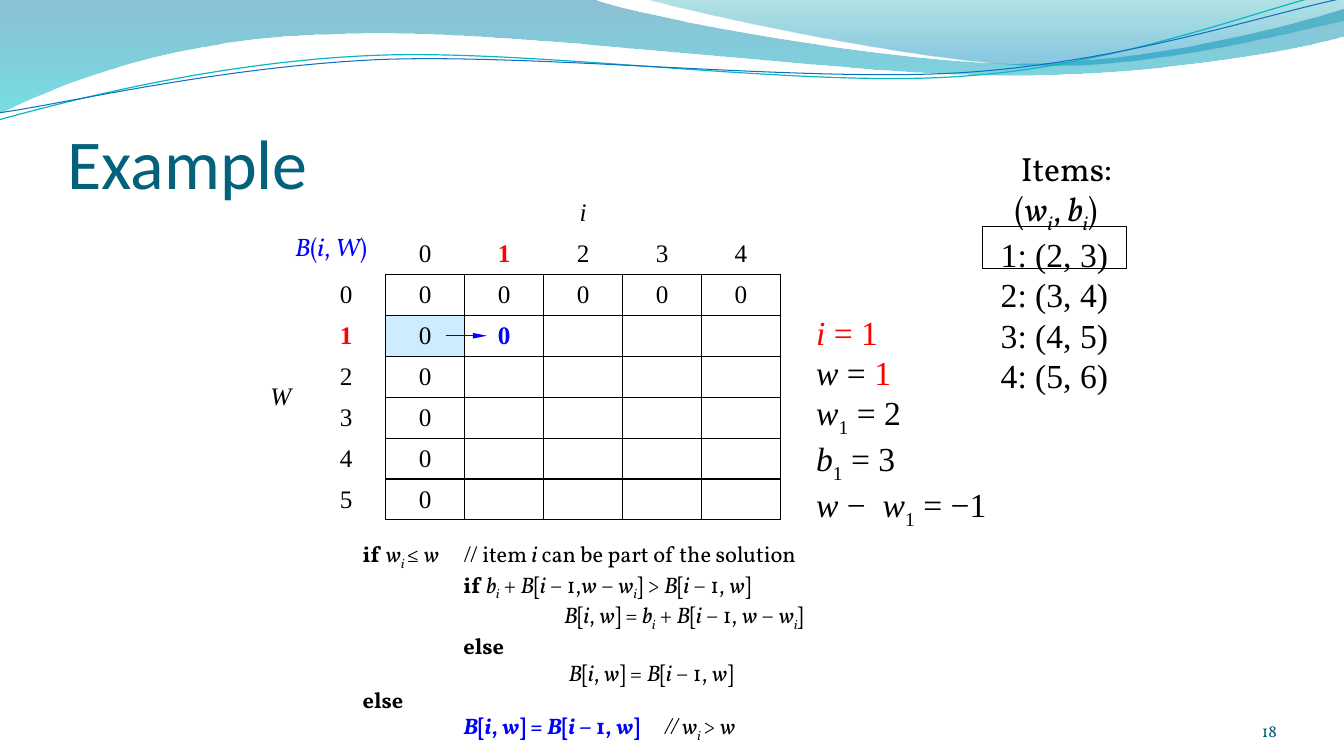
from itertools import groupby

from lxml import etree
from pptx import Presentation
from pptx import util as u
from pptx.dml.color import RGBColor
from pptx.enum import shapes, text
from pptx.oxml import ns

BLACK = RGBColor(0x00, 0x00, 0x00)
RED = RGBColor(0xFF, 0x00, 0x00)
BLUE = RGBColor(0x00, 0x00, 0xFF)
PALE_BLUE = RGBColor(0xCC, 0xEC, 0xFF)
TITLE_TEAL = RGBColor(0x04, 0x61, 0x7B)
NUMBER_TEAL = RGBColor(0x04, 0x5D, 0x75)
LINE_TEAL = RGBColor(0x0A, 0xB8, 0xBF)
LINE_BLUE = RGBColor(0x0F, 0x6F, 0xC6)
WAVE_TOP = RGBColor(0x00, 0x74, 0xA1)
WAVE_BOTTOM = RGBColor(0x00, 0xC6, 0xCF)
CREST_TOP = RGBColor(0x00, 0xA1, 0xA9)
CREST_BOTTOM = RGBColor(0x00, 0x8B, 0xBF)
SERIF = "Times New Roman"
BODY = "Vollkorn"
PLAIN_TABLE_STYLE = "{2D5ABB26-0587-4C30-8999-92F81FD0307C}"


def child(parent, tag, **attributes):
    return etree.SubElement(parent, ns.qn(tag), attributes)


def math_runs(formula, style=""):
    styled = []
    lowered = False
    for letter in formula:
        if letter == "_":
            lowered = True
            continue
        styled.append((letter, style + "i" * letter.isalpha() + "s" * lowered))
        lowered = False
    return [("".join(letter for letter, _ in group), key)
            for key, group in groupby(styled, key=lambda pair: pair[1])]


def add_runs(paragraph, runs, size, font, color=BLACK):
    for content, style in runs:
        run = paragraph.add_run()
        run.text = content
        run.font.size = u.Pt(size)
        run.font.name = font
        run.font.bold = "b" in style
        run.font.italic = "i" in style
        run.font.color.rgb = RED if "R" in style else BLUE if "B" in style else color
        if "s" in style:
            run.font._element.set("baseline", "-25000")


def add_text(slide, box, lines, size, font, color=BLACK):
    frame = slide.shapes.add_textbox(*map(u.Cm, box)).text_frame
    frame.word_wrap = True
    for index, runs in enumerate(lines):
        paragraph = frame.paragraphs[0] if index == 0 else frame.add_paragraph()
        add_runs(paragraph, runs, size, font, color)
    return frame


def set_tabs(frame):
    for paragraph in frame.paragraphs:
        stops = child(paragraph._p.get_or_add_pPr(), "a:tabLst")
        for stop in range(1, 5):
            child(stops, "a:tab", pos=str(u.Cm(2.54 * stop)), algn="l")


def add_curve(slide, start, pieces, closed):
    points = [(u.Cm(x), u.Cm(y)) for piece in pieces for x, y in piece]
    builder = slide.shapes.build_freeform(*map(u.Cm, start))
    builder.add_line_segments(points, close=closed)
    shape = builder.convert_to_shape()
    shape.shadow.inherit = False
    segments = iter(list(shape._element.iter(ns.qn("a:lnTo"))))
    for piece in pieces:
        group = [next(segments) for _ in piece]
        if len(group) == 3:
            bezier = etree.Element(ns.qn("a:cubicBezTo"))
            group[0].addprevious(bezier)
            for segment in group:
                bezier.append(segment[0])
                segment.getparent().remove(segment)
    return shape


def add_wave(slide, start, pieces, stops):
    shape = add_curve(slide, start, pieces, True)
    shape.line.fill.background()
    shape.fill.gradient()
    shape.fill.gradient_angle = 270
    for stop, (position, color, opacity) in zip(shape.fill.gradient_stops, stops):
        stop.position = position
        stop.color.rgb = color
        color_element = stop._gs.find(ns.qn("a:srgbClr"))
        child(color_element, "a:alpha", val=str(opacity * 1000))


def add_wave_line(slide, start, pieces, color, width):
    shape = add_curve(slide, start, pieces, False)
    shape.fill.background()
    shape.line.color.rgb = color
    shape.line.width = u.Pt(width)


def add_background(slide):
    add_wave(slide, (0, 0), [
        [(14.91, -0.03)],
        [(16.1, 0.43), (22.48, 1.6), (25.68, 1.6)],
        [(28.91, 1.6), (32.46, 0.66), (33.86, 0.23)],
        [(33.91, 0.91)],
        [(33.3, 1.12), (29.46, 1.93), (25.25, 1.9)],
        [(21.06, 1.9), (12.93, 0.71), (8.71, 0.86)],
        [(4.37, 0.91), (1.55, 2.11), (-0.03, 2.87)],
    ], [(0, WAVE_TOP, 45), (1, WAVE_BOTTOM, 55)])
    add_wave(slide, (16.23, -0.03), [
        [(17.25, 0.28), (23.09, 1.57), (26.04, 1.65)],
        [(28.98, 1.75), (32.56, 0.81), (33.86, 0.53)],
        [(33.86, 0)],
    ], [(0, CREST_TOP, 30), (0.8, CREST_BOTTOM, 45)])
    add_wave_line(slide, (-0.03, 3.02), [
        [(1.63, 2.57), (5.36, 1.57), (9.37, 1.4)],
        [(13.39, 1.22), (20.07, 2.21), (24.13, 1.93)],
        [(28.19, 1.68), (31.8, 0.2), (33.81, -0.25)],
    ], LINE_TEAL, 0.85)
    add_wave_line(slide, (0, 2.84), [
        [(1.6, 2.62), (5.54, 1.68), (9.6, 1.5)],
        [(13.64, 1.35), (20.22, 2.08), (24.26, 1.83)],
        [(28.32, 1.57), (31.88, 0.36), (33.88, -0.05)],
    ], LINE_BLUE, 0.75)


def format_title(slide):
    title = slide.shapes.title
    title.left, title.top, title.width, title.height = map(u.Cm, (1.7, 1.96, 30.48, 3.18))
    frame = title.text_frame
    frame.margin_left = frame.margin_right = frame.margin_bottom = 0
    frame.vertical_anchor = text.MSO_ANCHOR.BOTTOM
    frame.paragraphs[0].alignment = text.PP_ALIGN.LEFT
    add_runs(frame.paragraphs[0], [("Example", "")], 50, "Calibri", TITLE_TEAL)


def fill_cell(cell, content, style=""):
    cell.vertical_anchor = text.MSO_ANCHOR.MIDDLE
    paragraph = cell.text_frame.paragraphs[0]
    paragraph.alignment = text.PP_ALIGN.CENTER
    add_runs(paragraph, [(content, style)], 18, SERIF)


def border_cell(cell):
    properties = cell._tc.get_or_add_tcPr()
    for index, side in enumerate(("a:lnL", "a:lnR", "a:lnT", "a:lnB")):
        line = child(properties, side, w=str(u.Pt(1)))
        child(child(line, "a:solidFill"), "a:srgbClr", val=str(BLACK))
        properties.insert(index, line)


def add_benefit_table(slide):
    frame = slide.shapes.add_table(8, 7, *map(u.Cm, (6.43, 4.86, 13.24, 8.24)))
    table = frame.table
    table.first_row = table.horz_banding = False
    table._tbl.tblPr.find(ns.qn("a:tableStyleId")).text = PLAIN_TABLE_STYLE
    for index, column in enumerate(table.columns):
        column.width = u.Cm(1.99 if index else 1.3)
    for row in table.rows:
        row.height = u.Cm(1.03)
    for cell in table.iter_cells():
        cell.margin_top = cell.margin_bottom = 0
        cell.fill.background()
    table.cell(0, 2).merge(table.cell(0, 6))
    table.cell(2, 0).merge(table.cell(7, 0))
    fill_cell(table.cell(0, 2), "i", "i")
    fill_cell(table.cell(2, 0), "W", "i")
    for item in range(5):
        fill_cell(table.cell(1, item + 2), str(item), "bR" if item == 1 else "")
    for weight in range(6):
        fill_cell(table.cell(weight + 2, 1), str(weight), "bR" if weight == 1 else "")
        for item in range(5):
            cell = table.cell(weight + 2, item + 2)
            border_cell(cell)
            if weight == 0 or item == 0:
                fill_cell(cell, "0")
    fill_cell(table.cell(3, 3), "0", "bB")
    current = table.cell(3, 2)
    current.fill.solid()
    current.fill.fore_color.rgb = PALE_BLUE


def add_arrow(slide, start, end):
    arrow = slide.shapes.add_connector(shapes.MSO_CONNECTOR.STRAIGHT, *map(u.Cm, start + end))
    arrow.line.color.rgb = BLUE
    arrow.line.width = u.Pt(0.75)
    child(arrow.line._get_or_add_ln(), "a:tailEnd", type="triangle", w="sm", len="lg")
    child(arrow._element.spPr, "a:effectLst")


def add_outline(slide, box):
    shape = slide.shapes.add_shape(shapes.MSO_SHAPE.RECTANGLE, *map(u.Cm, box))
    shape.shadow.inherit = False
    shape.fill.background()
    shape.line.color.rgb = BLACK
    shape.line.width = u.Pt(0.75)


def main():
    presentation = Presentation()
    presentation.slide_width, presentation.slide_height = u.Cm(33.87), u.Cm(19.05)
    slide = presentation.slides.add_slide(presentation.slide_layouts[5])
    add_background(slide)
    format_title(slide)
    add_benefit_table(slide)
    algorithm = add_text(slide, (8.89, 13.49, 14.4, 5.13), [
        [("if ", "b"), *math_runs("w_i_ ≤ w"), ("\t// item ", ""), ("i", "i"),
         (" can be part of the solution", "")],
        [("\tif ", "b"), *math_runs("b_i + B[i − 1,w − w_i] > B[i − 1, w]")],
        math_runs("\t\tB[i, w] = b_i + B[i − 1, w − w_i]"),
        [("\telse", "b")],
        math_runs("\t\t B[i, w] = B[i − 1, w]"),
        [("else", "b")],
        [*math_runs("\tB[i, w] = B[i − 1, w] \t", "bB"), ("// ", "i"), *math_runs("w_i_ > w")],
    ], 16, BODY)
    set_tabs(algorithm)
    items = add_text(slide, (24.97, 3.6, 3.81, 6.4),
                     [[("Items:", "")], math_runs("(w_i, b_i)")], 24, BODY)
    items.paragraphs[0].alignment = text.PP_ALIGN.CENTER
    items.paragraphs[1]._p.get_or_add_pPr().set("marL", str(u.Cm(0.35)))
    for number in range(1, 5):
        add_runs(items.add_paragraph(), [(f"{number}: ({number + 1}, {number + 2})", "")], 24, SERIF)
    add_text(slide, (20.32, 7.73, 4.88, 5.38), [
        math_runs("i = 1", "R"),
        [*math_runs("w = "), ("1", "R")],
        math_runs("w_1 = 2"),
        math_runs("b_1 = 3"),
        math_runs("w −  w_1 = −1"),
    ], 24, SERIF)
    add_outline(slide, (24.77, 5.72, 3.61, 1.04))
    add_arrow(slide, (11.23, 8.46), (12.27, 8.46))
    add_text(slide, (7.19, 5.7, 2.54, 1.02), [math_runs("B(i, W)", "B")], 18, BODY)
    page = add_text(slide, (29.36, 17.65, 2.82, 1.02), [[("18", "")]], 12, BODY, NUMBER_TEAL)
    page.margin_left = page.margin_top = page.margin_right = page.margin_bottom = 0
    page.vertical_anchor = text.MSO_ANCHOR.BOTTOM
    page.paragraphs[0].alignment = text.PP_ALIGN.RIGHT
    presentation.save("out.pptx")


if __name__ == "__main__":
    main()
